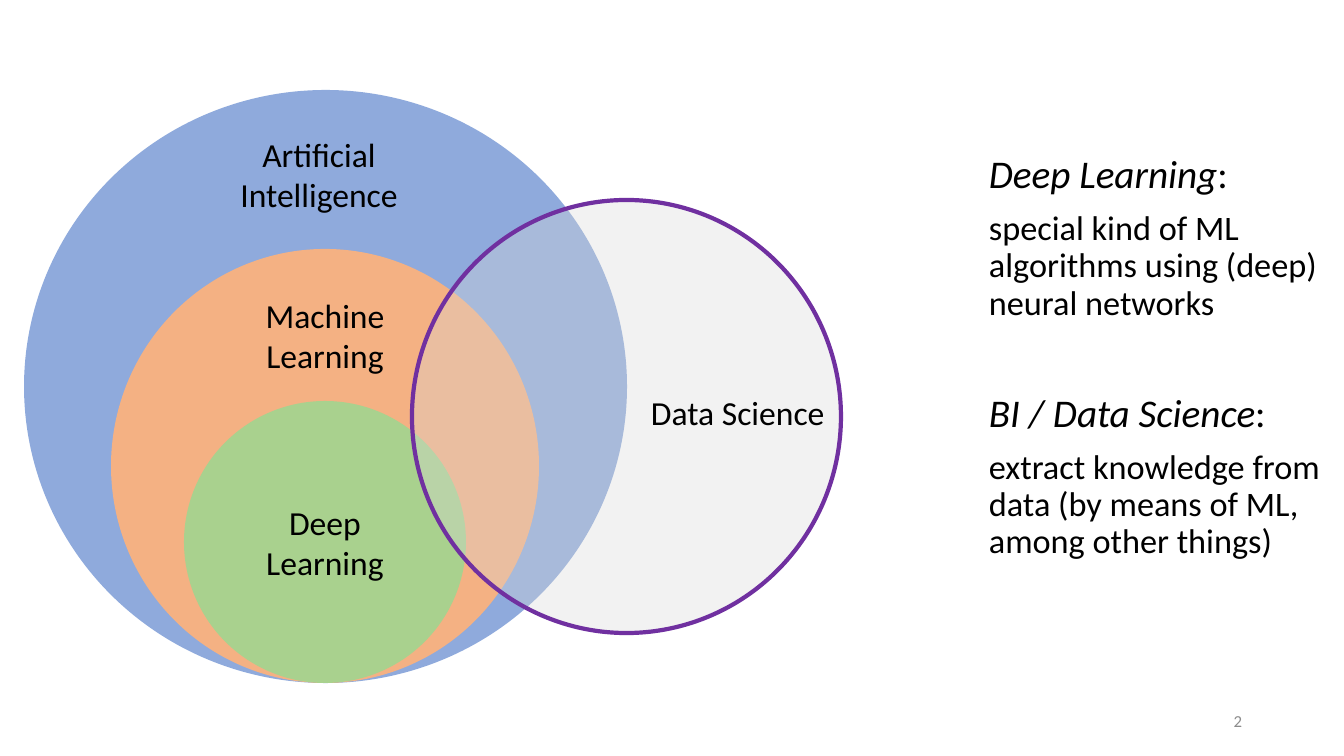
import pptx
import pptx.util
import pptx.dml.color
import pptx.enum.shapes
import pptx.enum.text
import lxml.etree

SCALE = 914400 / 100.8
FONT = "Calibri"
HUES = {
    "ai": "8FAADC", "ml": "F4B183", "deep": "A9D18E", "data": "D9D9D9",
    "ring": "7030A0", "ink": "000000", "page": "8C8C8C",
}
ALIGN = pptx.enum.text.PP_ALIGN
ANCHOR = pptx.enum.text.MSO_ANCHOR


def px(*vals):
    """Turn px lengths into EMU."""
    return [pptx.util.Emu(round(val * SCALE)) for val in vals]


def hue(name):
    """Look up a colour by name."""
    return pptx.dml.color.RGBColor.from_string(HUES[name])


def apply(item, form):
    """Set every attribute in the dict of format values."""
    for name, val in form.items():
        setattr(item, name, val)


def style(run, size, ink="ink", slant=False):
    """Format one run."""
    apply(run.font, {"name": FONT, "size": pptx.util.Pt(size), "italic": slant})
    run.font.color.rgb = hue(ink)


def write(frame, lines, size, align, ink="ink"):
    """Fill a frame with one paragraph per line."""
    frame.word_wrap = True
    for pos, line in enumerate(lines):
        para = frame.add_paragraph() if pos else frame.paragraphs[0]
        para.alignment = align
        run = para.add_run()
        run.text = line
        style(run, size, ink)


def disc(group, box, fill):
    """Draw a plain filled ellipse."""
    oval = group.shapes.add_shape(pptx.enum.shapes.MSO_SHAPE.OVAL, *px(*box))
    oval.shadow.inherit = False
    oval.fill.solid()
    oval.fill.fore_color.rgb = hue(fill)
    oval.line.fill.background()
    return oval


def label(shapes, box, text, align=ALIGN.CENTER, size=24, ink="ink"):
    """Place one text label."""
    area = shapes.add_textbox(*px(*box))
    write(area.text_frame, [text], size, align, ink)
    return area


def venn(slide, left, top):
    """Draw the nested circles and the ring that crosses them."""
    group = slide.shapes.add_group_shape()
    disc(group, (left, top, 603, 593), "ai")
    disc(group, (left + 87, top + 159, 428, 434), "ml")
    deep = disc(group, (left + 160, top + 311, 282, 282), "deep")
    deep.text_frame.vertical_anchor = ANCHOR.MIDDLE
    write(deep.text_frame, ["Deep", "Learning"], 24, ALIGN.CENTER)
    label(group.shapes, (left + 213, top + 200, 176, 92), "Machine Learning")
    label(group.shapes, (left + 197, top + 39, 196, 92), "Artificial Intelligence")
    ring = disc(group, (left + 388, top + 110, 429, 433), "data")
    shade = ring.fill._xPr.find(".//" + pptx.oxml.ns.qn("a:srgbClr"))
    lxml.etree.SubElement(shade, pptx.oxml.ns.qn("a:alpha"), val="34000")
    ring.line.color.rgb = hue("ring")
    ring.line.width = pptx.util.Pt(3)
    label(group.shapes, (left + 617, top + 297, 206, 50), "Data Science", ALIGN.LEFT)


def notes(slide, box, terms):
    """List each term with its meaning below it."""
    frame = slide.shapes.add_textbox(*px(*box)).text_frame
    apply(frame, {"word_wrap": True, "margin_right": 0})
    for pos, (term, sense) in enumerate(terms):
        head = frame.add_paragraph() if pos else frame.paragraphs[0]
        body = frame.add_paragraph()
        for para, gap in ((head, 51 if pos else 0), (body, 10)):
            apply(para, {"line_spacing": 0.9, "space_before": pptx.util.Pt(gap)})
        for para, text, size, slant in (
            (head, term, 28, True), (head, ":", 28, False), (body, sense, 24.5, False),
        ):
            run = para.add_run()
            run.text = text
            style(run, size, slant=slant)


def main():
    """Build and save the slide."""
    deck = pptx.Presentation()
    apply(deck, dict(zip(("slide_width", "slide_height"), px(1344, 756))))
    slide = deck.slides.add_slide(deck.slide_layouts[6])
    page = label(slide.shapes, (950, 701, 302, 40), "2", ALIGN.RIGHT, 12, "page")
    page.text_frame.vertical_anchor = ANCHOR.MIDDLE
    notes(slide, (979, 150, 365, 480), [
        ("Deep Learning", "special kind of ML algorithms using (deep) neural networks"),
        ("BI / Data Science",
         "extract knowledge from data (by means of ML, among other things)"),
    ])
    venn(slide, 24, 90)
    deck.save("out.pptx")


if __name__ == "__main__":
    main()
